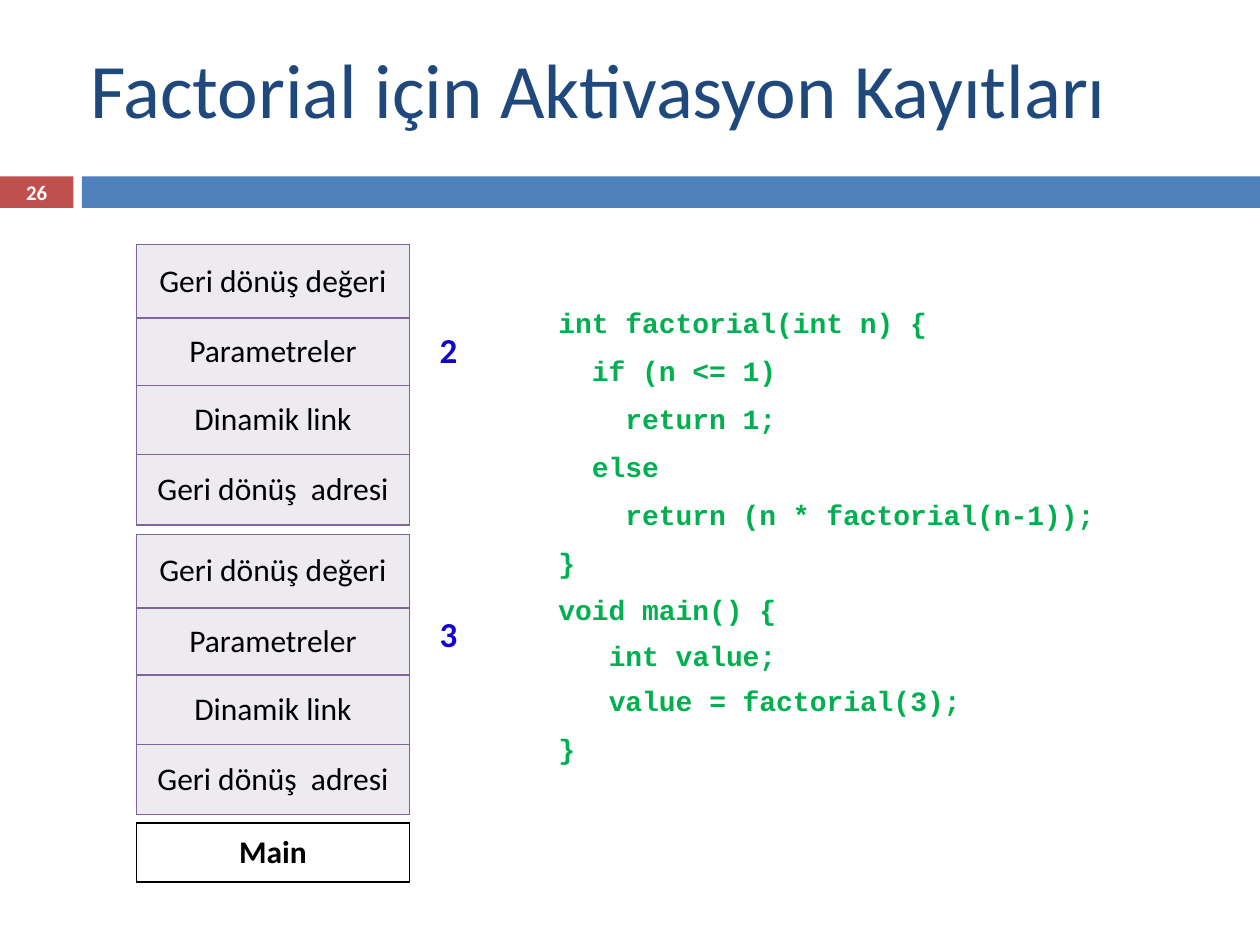
from dataclasses import dataclass

from lxml import etree
from pptx import Presentation
from pptx.dml.color import RGBColor
from pptx.enum import shapes, text
from pptx.oxml import ns
from pptx.util import Inches, Pt

COLUMNS, ROWS = 120, 90
BLANK_LAYOUT = 6
STACK_LEFT, STACK_WIDTH = 13, 26
RECORD_FIELDS = ("Geri dönüş değeri", "Parametreler", "Dinamik link", "Geri dönüş  adresi")
RECORD_HEIGHTS = (7, 6.4, 6.6, 6.7)

presentation = Presentation()
presentation.slide_width = Inches(10)
presentation.slide_height = Inches(7.5)
slide = presentation.slides.add_slide(presentation.slide_layouts[BLANK_LAYOUT])


@dataclass(frozen=True)
class Area:
    left: float
    top: float
    width: float
    height: float

    def emu(self) -> tuple[int, ...]:
        across = presentation.slide_width / COLUMNS
        down = presentation.slide_height / ROWS
        return (round(self.left * across), round(self.top * down),
                round(self.width * across), round(self.height * down))


@dataclass(frozen=True)
class Style:
    size: float
    color: str
    bold: bool = False
    face: str = "Calibri"


@dataclass(frozen=True)
class Frame:
    top: float
    fields: tuple[str, ...]
    heights: tuple[float, ...]
    border: str
    style: Style
    fill: str | None = None


@dataclass(frozen=True)
class Label:
    area: Area
    words: str
    style: Style
    align: text.PP_ALIGN = text.PP_ALIGN.LEFT
    anchor: text.MSO_ANCHOR = text.MSO_ANCHOR.TOP
    wrap: bool = True
    inset_left: float = 0.1
    inset_top: float = 0.05


@dataclass(frozen=True)
class CodeLevel:
    margin: float
    hanging: float
    space: float


def rgb(value: str) -> RGBColor:
    return RGBColor.from_string(value)


def format_runs(paragraph, style: Style) -> None:
    for run in paragraph.runs:
        run.font.size = Pt(style.size)
        run.font.bold = style.bold
        run.font.name = style.face
        run.font.color.rgb = rgb(style.color)


def draw_band(area: Area, color: str) -> None:
    band = slide.shapes.add_shape(shapes.MSO_SHAPE.RECTANGLE, *area.emu())
    band.shadow.inherit = False
    band.fill.solid()
    band.fill.fore_color.rgb = rgb(color)
    band.line.fill.background()


def draw_label(label: Label):
    frame = slide.shapes.add_textbox(*label.area.emu()).text_frame
    frame.word_wrap = label.wrap
    frame.vertical_anchor = label.anchor
    frame.margin_left = Inches(label.inset_left)
    frame.margin_top = Inches(label.inset_top)
    if not label.wrap:
        frame.auto_size = text.MSO_AUTO_SIZE.SHAPE_TO_FIT_TEXT
    frame.text = label.words
    for paragraph in frame.paragraphs:
        paragraph.alignment = label.align
        format_runs(paragraph, label.style)
    return frame


def draw_code(label: Label, levels: tuple[CodeLevel, ...], inner: set[str]) -> None:
    for index, line in enumerate(draw_label(label).paragraphs):
        line.level = int(line.text in inner)
        level = levels[line.level]
        properties = line._p.get_or_add_pPr()
        properties.set("marL", str(Inches(level.margin)))
        properties.set("indent", str(-Inches(level.hanging)))
        line.line_spacing = 1.06
        line.space_before = Pt(level.space if index else 0)


def set_border(cell, color: str) -> None:
    properties = cell._tc.get_or_add_tcPr()
    for position, side in enumerate(("lnL", "lnR", "lnT", "lnB")):
        edge = etree.Element(ns.qn(f"a:{side}"), w=str(Pt(1)))
        fill = etree.SubElement(edge, ns.qn("a:solidFill"))
        etree.SubElement(fill, ns.qn("a:srgbClr"), val=color)
        properties.insert(position, edge)


def draw_frame(frame: Frame) -> None:
    area = Area(STACK_LEFT, frame.top, STACK_WIDTH, sum(frame.heights))
    table = slide.shapes.add_table(len(frame.fields), 1, *area.emu()).table
    table.first_row = table.horz_banding = False
    for row, field, height in zip(table.rows, frame.fields, frame.heights):
        row.height = Area(0, 0, 0, height).emu()[3]
        cell = row.cells[0]
        cell.text = field
        cell.vertical_anchor = text.MSO_ANCHOR.MIDDLE
        paragraph = cell.text_frame.paragraphs[0]
        paragraph.alignment = text.PP_ALIGN.CENTER
        format_runs(paragraph, frame.style)
        if frame.fill:
            cell.fill.solid()
            cell.fill.fore_color.rgb = rgb(frame.fill)
        else:
            cell.fill.background()
        set_border(cell, frame.border)


CODE = """int factorial(int n) {
  if (n <= 1)
    return 1;
  else
    return (n * factorial(n-1));
}
void main() {
int value;
value = factorial(3);
}"""


def main() -> None:
    draw_band(Area(0, 16.8, 7, 3), "C0504D")
    draw_band(Area(7.8, 16.8, 112.2, 3), "4F81BD")
    draw_label(Label(Area(8, 3, 107, 13), "Factorial için Aktivasyon Kayıtları",
                     Style(44, "1F497D"), inset_left=0.05, inset_top=0.08))
    draw_code(Label(Area(52, 28, 60, 53), CODE,
                    Style(16, "00B050", True, "Courier New"), inset_top=0.08),
              (CodeLevel(0.35, 0.35, 7), CodeLevel(0.7, 0.3, 5.5)),
              {"int value;", "value = factorial(3);"})

    for top in (23.3, 50.9):
        draw_frame(Frame(top, RECORD_FIELDS, RECORD_HEIGHTS, "8064A2",
                         Style(18, "000000"), "EDEAF0"))
    draw_frame(Frame(78.4, ("Main",), (5.6,), "000000", Style(18, "000000", True)))

    for argument, top in (("3", 57.7), ("2", 30.7)):
        draw_label(Label(Area(40.7, top, 4.3, 5.3), argument,
                         Style(20, "1204CC", True), wrap=False))
    draw_label(Label(Area(0, 16.7, 7, 3.2), "26", Style(11.9, "FFFFFF", True),
                     text.PP_ALIGN.CENTER, text.MSO_ANCHOR.MIDDLE))
    presentation.save("out.pptx")


if __name__ == "__main__":
    main()
